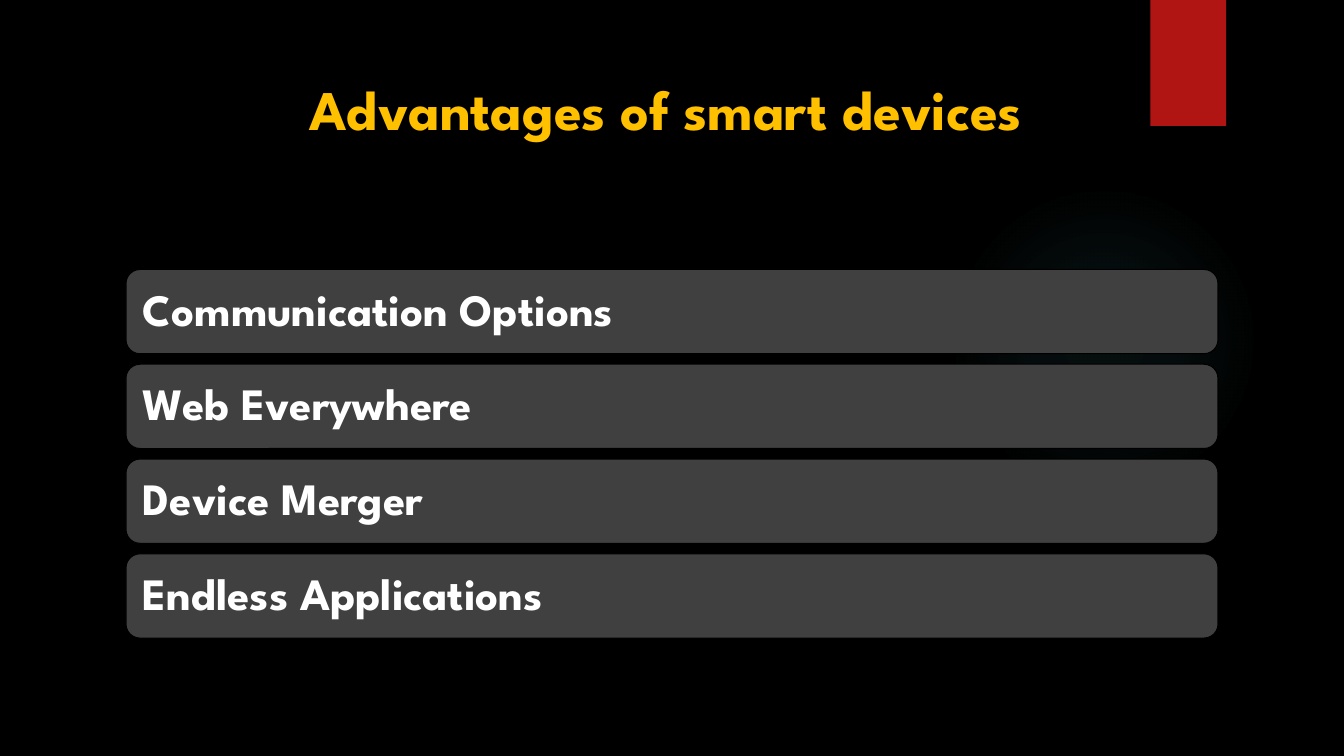
"""Builds the slide on the advantages of smart devices."""
import pptx
import pptx.util
import pptx.dml.color
import pptx.enum.shapes
import pptx.enum.text
import pptx.oxml

Pt = pptx.util.Pt
KIND = pptx.enum.shapes.MSO_SHAPE
ALIGN = pptx.enum.text.PP_ALIGN
MIDDLE = pptx.enum.text.MSO_ANCHOR.MIDDLE

TITLE = "Advantages of smart devices"
ITEMS = ["Communication Options", "Web Everywhere", "Device Merger", "Endless Applications"]
FONT = "League Spartan"
GLOW = [(0, 7), (36, 6), (69, 0)]
LEFT, TOP, WIDTH, HEIGHT, STEP = 90, 192.5, 780, 60.2, 67.7


def color(code):
    return pptx.dml.color.RGBColor.from_string(code)


def shape(slide, kind, box, fill=None, line=None):
    item = slide.shapes.add_shape(kind, *map(Pt, box))
    item.shadow.inherit = False
    if fill:
        item.fill.solid()
        item.fill.fore_color.rgb = color(fill)
    if line:
        item.line.color.rgb = color(line)
        item.line.width = Pt(0.75)
    else:
        item.line.fill.background()
    return item


def glow(item, code, stops):
    marks = "".join(
        f'<a:gs pos="{pos * 1000}"><a:srgbClr val="{code}">'
        f'<a:alpha val="{alpha * 1000}"/></a:srgbClr></a:gs>'
        for pos, alpha in stops)
    grad = pptx.oxml.parse_xml(
        '<a:gradFill xmlns:a="http://schemas.openxmlformats.org/drawingml/2006/main">'
        f'<a:gsLst>{marks}</a:gsLst><a:path path="circle">'
        '<a:fillToRect l="50000" t="50000" r="50000" b="50000"/></a:path></a:gradFill>')
    item.element.spPr.insert(2, grad)


def write(item, text, size, code, align, side, base):
    frame = item.text_frame
    frame.word_wrap = True
    frame.vertical_anchor = MIDDLE
    frame.margin_left = frame.margin_right = Pt(side)
    frame.margin_bottom = Pt(base)
    para = frame.paragraphs[0]
    para.text = text
    para.alignment = align
    para.font.name = FONT
    para.font.size = Pt(size)
    para.font.bold = True
    para.font.color.rgb = color(code)
    return para


def main():
    deck = pptx.Presentation()
    deck.slide_width, deck.slide_height = Pt(960), Pt(540)
    slide = deck.slides.add_slide(deck.slide_layouts[6])
    slide.background.fill.solid()
    slide.background.fill.fore_color.rgb = color("000000")

    glow(shape(slide, KIND.OVAL, (677.5, 131.8, 221.8, 221.8)), "50B9C1", GLOW)
    shape(slide, KIND.RECTANGLE, (821.8, 0, 54, 90), "B01513")
    title = slide.shapes.add_textbox(*map(Pt, (90, 48, 771, 88.6)))
    write(title, TITLE, 40, "FFC000", ALIGN.CENTER, 7.2, 33)

    for row, text in enumerate(ITEMS):
        box = (LEFT, TOP + row * STEP, WIDTH, HEIGHT)
        bar = shape(slide, KIND.ROUNDED_RECTANGLE, box, "404040", "000000")
        para = write(bar, text, 32, "FFFFFF", ALIGN.LEFT, 9.2, 3.6)
        para.line_spacing = 0.9

    deck.save("out.pptx")


if __name__ == "__main__":
    main()
